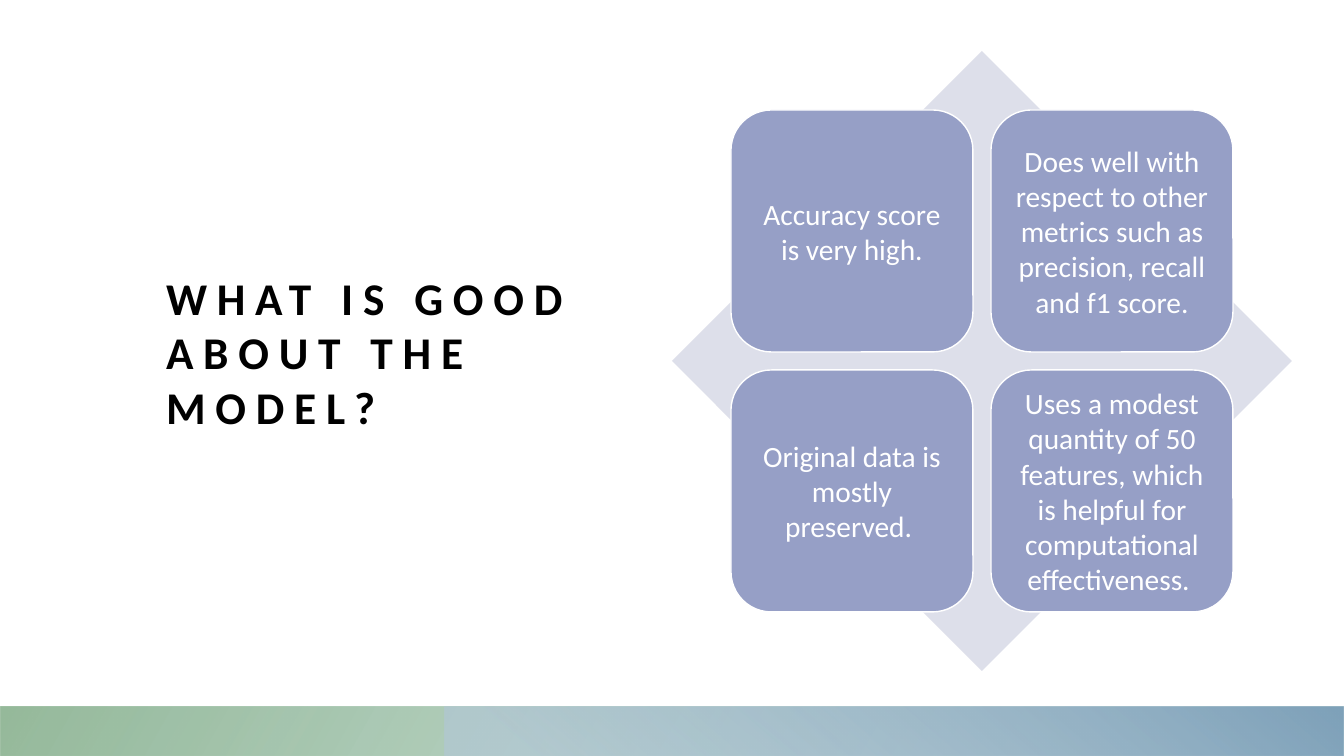
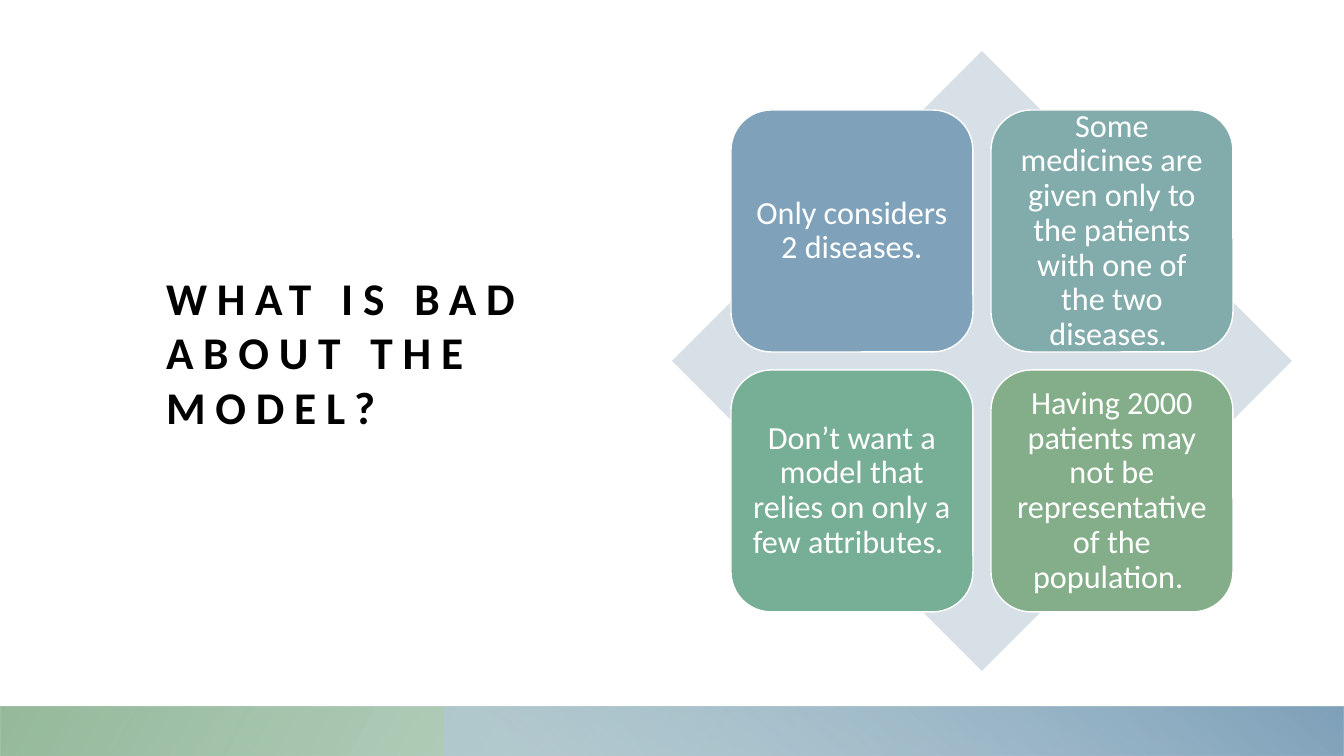
"""Build two slides that weigh the good and bad points of a model."""
import lxml.etree
import pptx
import pptx.dml.color
import pptx.enum.shapes
import pptx.enum.text
import pptx.oxml.ns
import pptx.util

RGB = pptx.dml.color.RGBColor
SHAPE = pptx.enum.shapes.MSO_SHAPE
ALIGN = pptx.enum.text.PP_ALIGN
ANCHOR = pptx.enum.text.MSO_ANCHOR

BLACK = RGB(0x00, 0x00, 0x00)
WHITE = RGB(0xFF, 0xFF, 0xFF)
LAVENDER = RGB(0x96, 0x9F, 0xC6)
PALE_LAVENDER = RGB(0xDD, 0xDF, 0xEA)
BLUE = RGB(0x7F, 0xA2, 0xBA)
LIGHT_BLUE = RGB(0xB2, 0xC7, 0xD6)
PALE_BLUE = RGB(0xD8, 0xE0, 0xE7)
TEAL = RGB(0x82, 0xAC, 0xAB)
SEA_GREEN = RGB(0x77, 0xAE, 0x96)
LEAF_GREEN = RGB(0x84, 0xAE, 0x8A)

FONT = "Calibri"
PAGE_WIDTH, PAGE_HEIGHT = 1344, 756
TITLE_AREA = (166, 270, 506, 176)
DIAMOND_LEFT, DIAMOND_TOP, DIAMOND_SIZE = 672, 51, 620
CARD_SIZE, CARD_GAP = 242, 18
BAND_TOP = 707

BANDS = [
    {"left": 0, "rotation": 180, "angle": 210,
     "stops": [(0.14, SEA_GREEN, 28), (1, LEAF_GREEN, 85)]},
    {"left": 445, "rotation": 0, "angle": 130,
     "stops": [(0.09, LIGHT_BLUE, 68), (0.99, BLUE, 100)]},
]

PAGES = [
    {"title": "WHAT IS GOOD ABOUT THE MODEL?", "diamond": PALE_LAVENDER,
     "size": 21, "spacing": 1.0, "inset": 9,
     "cards": [
         ("Accuracy score is very high.", LAVENDER),
         ("Does well with respect to other metrics such as precision, "
          "recall and f1 score.", LAVENDER),
         ("Original data is mostly preserved. ", LAVENDER),
         ("Uses a modest quantity of 50 features, which is helpful for "
          "computational effectiveness. ", LAVENDER)]},
    {"title": "WHAT IS BAD ABOUT THE MODEL?", "diamond": PALE_BLUE,
     "size": 23, "spacing": 0.9, "inset": 10,
     "cards": [
         ("Only considers 2 diseases.", BLUE),
         ("Some medicines are given only to the patients with one of the "
          "two diseases. ", TEAL),
         ("Don’t want a model that relies on only a few attributes. ", SEA_GREEN),
         ("Having 2000 patients may not be representative of the "
          "population. ", LEAF_GREEN)]},
]


def px(length):
    return pptx.util.Emu(round(length * 914400 / 100.8))


def add_shape(page, kind, left, top, width, height):
    shape = page.shapes.add_shape(kind, px(left), px(top), px(width), px(height))
    shape.shadow.inherit = False
    shape.line.fill.background()
    return shape


def set_text(frame, text, size, color, align, anchor, inset):
    frame.text = text
    frame.word_wrap = True
    frame.auto_size = pptx.enum.text.MSO_AUTO_SIZE.NONE
    frame.vertical_anchor = anchor
    frame.margin_left = frame.margin_right = px(inset)
    frame.margin_top = frame.margin_bottom = px(inset)
    para = frame.paragraphs[0]
    para.alignment = align
    span = para.runs[0]
    span.font.name = FONT
    span.font.size = pptx.util.Pt(size)
    span.font.color.rgb = color
    return para


def add_title(page, text):
    title = page.shapes.title
    title.left, title.top, title.width, title.height = map(px, TITLE_AREA)
    para = set_text(title.text_frame, text, 32.4, BLACK, ALIGN.LEFT, ANCHOR.TOP, 0)
    font = para.runs[0].font
    font.bold = True
    para.runs[0].font._element.set("spc", "700")


def add_band(page, band):
    left = band["left"]
    shape = add_shape(page, SHAPE.RECTANGLE, left, BAND_TOP,
                      PAGE_WIDTH - left, PAGE_HEIGHT - BAND_TOP)
    shape.rotation = band["rotation"]
    shape.element.spPr.xfrm.set("flipH", "1")
    shape.fill.gradient()
    shape.fill.gradient_angle = band["angle"]
    for stop, (position, color, _) in zip(shape.fill.gradient_stops, band["stops"]):
        stop.position = position
        stop.color.rgb = color
    colors = shape.element.xpath(".//a:gs/a:srgbClr")
    for node, (_, _, opacity) in zip(colors, band["stops"]):
        alpha = lxml.etree.SubElement(node, pptx.oxml.ns.qn("a:alpha"))
        alpha.set("val", str(opacity * 1000))


def add_cards(page, content):
    diamond = add_shape(page, SHAPE.DIAMOND, DIAMOND_LEFT, DIAMOND_TOP,
                        DIAMOND_SIZE, DIAMOND_SIZE)
    diamond.fill.solid()
    diamond.fill.fore_color.rgb = content["diamond"]
    step = CARD_SIZE + CARD_GAP
    margin = (DIAMOND_SIZE - step - CARD_SIZE) // 2
    for index, (text, color) in enumerate(content["cards"]):
        row, column = divmod(index, 2)
        card = add_shape(page, SHAPE.ROUNDED_RECTANGLE,
                         DIAMOND_LEFT + margin + column * step,
                         DIAMOND_TOP + margin + row * step, CARD_SIZE, CARD_SIZE)
        card.fill.solid()
        card.fill.fore_color.rgb = color
        card.line.color.rgb = WHITE
        card.line.width = pptx.util.Pt(1)
        para = set_text(card.text_frame, text, content["size"], WHITE,
                        ALIGN.CENTER, ANCHOR.MIDDLE, content["inset"])
        para.line_spacing = content["spacing"]


def main():
    deck = pptx.Presentation()
    deck.slide_width, deck.slide_height = px(PAGE_WIDTH), px(PAGE_HEIGHT)
    for content in PAGES:
        page = deck.slides.add_slide(deck.slide_layouts[5])
        add_title(page, content["title"])
        for band in BANDS:
            add_band(page, band)
        add_cards(page, content)
    deck.save("out.pptx")


if __name__ == "__main__":
    main()
